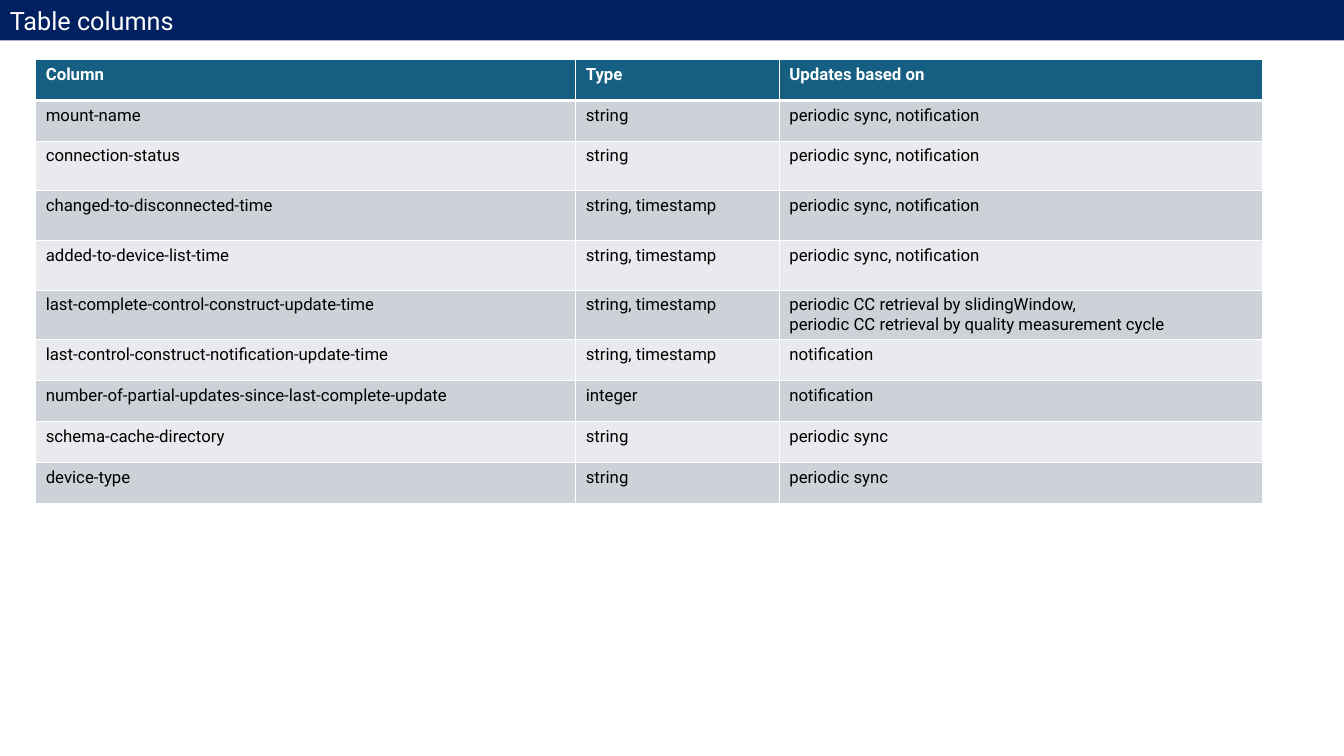
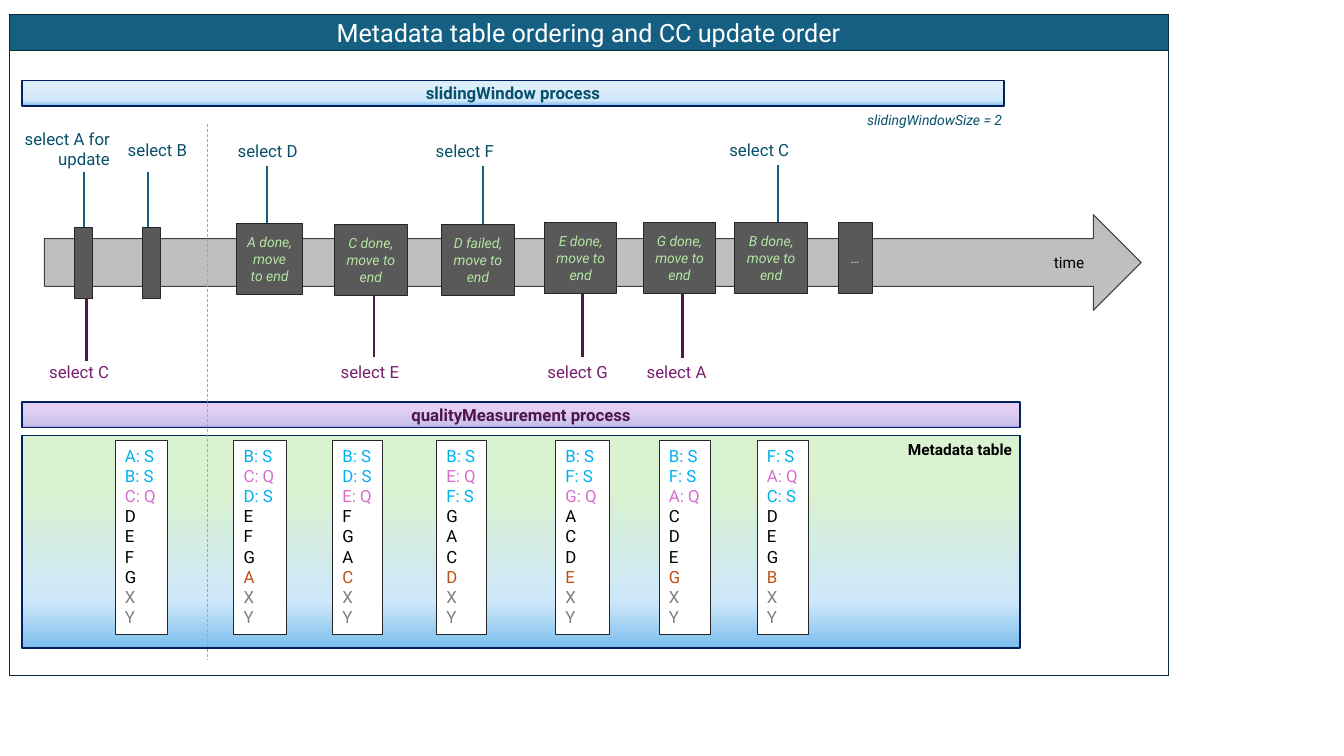
from copy import deepcopy
from dataclasses import dataclass

from lxml import etree
from pptx import Presentation
from pptx import util as u
from pptx.dml.color import RGBColor
from pptx.enum import dml, shapes, text
from pptx.oxml.ns import qn

FONT = "Roboto"
WHITE, BLACK, NAVY, TEAL = "FFFFFF", "000000", "002060", "156082"
FRAME_LINE, BOX_LINE = "092A39", "262626"
BLUE_TEXT, PURPLE_TEXT, PURPLE_LINE = "084F6A", "78206E", "501649"
SLIDING, QUALITY, MOVED, UNUSED = "00B0F0", "D86ECC", "C04F15", "808080"
LEFT, CENTER, RIGHT = text.PP_ALIGN.LEFT, text.PP_ALIGN.CENTER, text.PP_ALIGN.RIGHT
RECTANGLE = shapes.MSO_SHAPE.RECTANGLE
TOP, MIDDLE = text.MSO_ANCHOR.TOP, text.MSO_ANCHOR.MIDDLE


@dataclass
class Box:
    """Position and size in centimetres."""
    left: float
    top: float
    width: float
    height: float

    def lengths(self) -> tuple:
        return tuple(u.Cm(v) for v in (self.left, self.top, self.width, self.height))


@dataclass
class Style:
    size: float = 12
    color: str = BLACK
    bold: bool = False
    italic: bool = False
    align: text.PP_ALIGN = LEFT


@dataclass
class Selection:
    """A label with the line that ties it to the time arrow."""
    label: str
    box: Box
    align: text.PP_ALIGN
    line_x: float
    line_top: float
    above: bool = True


@dataclass
class Step:
    caption: str
    left: float
    top: float
    width: float = 1.83


@dataclass
class Snapshot:
    """The order of the metadata table at one moment."""
    left: float
    width: float
    selected: tuple
    waiting: str
    moved: str = ""

    def rows(self) -> list:
        colored = [(entry, SLIDING if entry.endswith("S") else QUALITY)
                   for entry in self.selected]
        groups = ((self.waiting, BLACK), (self.moved, MOVED), ("XY", UNUSED))
        return colored + [(letter, color) for letters, color in groups for letter in letters]


COLUMN_WIDTHS = (13.61, 5.13, 12.19)
ROW_HEIGHT, TALL_ROW_HEIGHT = 1.03, 1.25
TALL_ROWS = range(2, 6)
PERIODIC, NOTIFIED = "periodic sync", "notification"
BOTH = f"{PERIODIC}, {NOTIFIED}"
TIMESTAMP = "string, timestamp"
TABLE_ROWS = (
    ("Column", "Type", "Updates based on"),
    ("mount-name", "string", BOTH),
    ("connection-status", "string", BOTH),
    ("changed-to-disconnected-time", TIMESTAMP, BOTH),
    ("added-to-device-list-time", TIMESTAMP, BOTH),
    ("last-complete-control-construct-update-time", TIMESTAMP,
     "periodic CC retrieval by slidingWindow,\n"
     "periodic CC retrieval by quality measurement cycle"),
    ("last-control-construct-notification-update-time", TIMESTAMP, NOTIFIED),
    ("number-of-partial-updates-since-last-complete-update", "integer", NOTIFIED),
    ("schema-cache-directory", "string", PERIODIC),
    ("device-type", "string", PERIODIC),
)

SELECTIONS = (
    Selection("select A for update", Box(0.25, 3.12, 2.77, 1.27), RIGHT, 2.11, 4.34),
    Selection("select B", Box(2.97, 3.4, 2.29, 0.76), LEFT, 3.73, 4.34),
    Selection("select D", Box(5.74, 3.43, 2.03, 0.76), LEFT, 6.73, 4.19),
    Selection("select F", Box(9.93, 3.43, 2.77, 0.76), RIGHT, 12.17, 4.19),
    Selection("select C", Box(17.37, 3.4, 2.77, 0.76), RIGHT, 19.61, 4.17),
    Selection("select C", Box(0.23, 8.99, 2.77, 0.76), RIGHT, 2.18, 7.49, False),
    Selection("select E", Box(7.54, 8.99, 2.77, 0.76), RIGHT, 9.42, 7.39, False),
    Selection("select G", Box(12.8, 8.99, 2.77, 0.76), RIGHT, 14.68, 7.39, False),
    Selection("select A", Box(15.29, 8.99, 2.77, 0.76), RIGHT, 17.2, 7.42, False),
)
STEPS = (
    Step("", 1.88, 5.74, 0.46),
    Step("", 3.58, 5.74, 0.46),
    Step("A done, move to end", 5.97, 5.64, 1.65),
    Step("C done, move to end", 8.43, 5.66),
    Step("D failed, move to end", 11.13, 5.66),
    Step("E done, move to end", 13.72, 5.61),
    Step("G done, move to end", 16.21, 5.61),
    Step("B done, move to end", 18.52, 5.61),
    Step("…", 21.13, 5.61, 0.86),
)
SNAPSHOTS = (
    Snapshot(2.9, 1.32, ("A: S", "B: S", "C: Q"), "DEFG"),
    Snapshot(5.89, 1.32, ("B: S", "C: Q", "D: S"), "EFG", "A"),
    Snapshot(8.38, 1.27, ("B: S", "D: S", "E: Q"), "FGA", "C"),
    Snapshot(11, 1.27, ("B: S", "E: Q", "F: S"), "GAC", "D"),
    Snapshot(14, 1.35, ("B: S", "F: S", "G: Q"), "ACD", "E"),
    Snapshot(16.61, 1.3, ("B: S", "F: S", "A: Q"), "CDE", "G"),
    Snapshot(19.08, 1.3, ("F: S", "A: Q", "C: S"), "DEG", "B"),
)


def rgb(color: str) -> RGBColor:
    return RGBColor.from_string(color)


def write(frame, rows: list, style: Style) -> None:
    """Write (line, colour) rows as paragraphs."""
    for index, (line, color) in enumerate(rows):
        paragraph = frame.paragraphs[0] if index == 0 else frame.add_paragraph()
        paragraph.alignment = style.align
        run = paragraph.add_run()
        run.text = line
        run.font.name, run.font.size = FONT, u.Pt(style.size)
        run.font.bold, run.font.italic = style.bold, style.italic
        run.font.color.rgb = rgb(color)


def add_box(slide, box: Box, fill: str = "", line: str = "", line_width: float = 0.75,
            kind=RECTANGLE):
    shape = slide.shapes.add_shape(kind, *box.lengths())
    shape.shadow.inherit = False
    if fill:
        shape.fill.solid()
        shape.fill.fore_color.rgb = rgb(fill)
    else:
        shape.fill.background()
    if line:
        shape.line.color.rgb = rgb(line)
        shape.line.width = u.Pt(line_width)
    else:
        shape.line.fill.background()
    return shape


def add_gradient_box(slide, box: Box, stops: tuple):
    shape = add_box(slide, box, WHITE, NAVY, 1)
    shape.fill.gradient()
    shape.fill.gradient_angle = 270
    stop_list = shape.element.spPr.find(qn("a:gradFill")).find(qn("a:gsLst"))
    stop_list.append(deepcopy(stop_list[-1]))
    for stop, (position, color) in zip(shape.fill.gradient_stops, stops):
        stop.position = position / 100
        stop.color.rgb = rgb(color)
    return shape


def write_in_shape(shape, caption: str, style: Style) -> None:
    shape.text_frame.word_wrap = True
    shape.text_frame.vertical_anchor = MIDDLE
    write(shape.text_frame, [(caption, style.color)], style)


def add_label(slide, box: Box, caption: str, style: Style, wrap: bool = True) -> None:
    frame = slide.shapes.add_textbox(*box.lengths()).text_frame
    frame.word_wrap = wrap
    write(frame, [(caption, style.color)], style)


def add_vertical_line(slide, x: float, top: float, bottom: float, color: str,
                      width: float = 1.5, dashed: bool = False) -> None:
    line = slide.shapes.add_connector(shapes.MSO_CONNECTOR.STRAIGHT,
                                      u.Cm(x), u.Cm(top), u.Cm(x), u.Cm(bottom))
    line.line.color.rgb = rgb(color)
    line.line.width = u.Pt(width)
    if dashed:
        line.line.dash_style = dml.MSO_LINE.DASH
    etree.SubElement(line.element.spPr, qn("a:effectLst"))


def add_title_bar(slide, box: Box, caption: str, fill: str, line: str,
                  align: text.PP_ALIGN) -> None:
    shape = add_box(slide, box, fill, line)
    write_in_shape(shape, caption, Style(18, WHITE, align=align))


def add_cell_borders(cell, bottom_width: float) -> None:
    properties = cell._tc.get_or_add_tcPr()
    for side, width in (("L", 1), ("R", 1), ("T", 1), ("B", bottom_width)):
        border = etree.SubElement(properties, qn(f"a:ln{side}"), w=str(u.Pt(width)))
        fill = etree.SubElement(border, qn("a:solidFill"))
        etree.SubElement(fill, qn("a:srgbClr"), val=WHITE)


def add_columns_table(slide) -> None:
    heights = [TALL_ROW_HEIGHT if i in TALL_ROWS else ROW_HEIGHT
               for i in range(len(TABLE_ROWS))]
    box = Box(0.9, 1.5, sum(COLUMN_WIDTHS), sum(heights))
    table = slide.shapes.add_table(len(heights), len(COLUMN_WIDTHS), *box.lengths()).table
    for column, width in zip(table.columns, COLUMN_WIDTHS):
        column.width = u.Cm(width)
    for index, (row, height) in enumerate(zip(table.rows, heights)):
        row.height = u.Cm(height)
        header = index == 0
        fill = TEAL if header else ("E8EAED", "CCD2D8")[index % 2]
        style = Style(12, WHITE if header else BLACK, bold=header)
        for cell, content in zip(row.cells, TABLE_ROWS[index]):
            add_cell_borders(cell, 3 if header else 1)
            cell.fill.solid()
            cell.fill.fore_color.rgb = rgb(fill)
            write(cell.text_frame, [(line, style.color) for line in content.split("\n")], style)


def add_selection(slide, selection: Selection) -> None:
    if selection.above:
        text_color, line_color, length = BLUE_TEXT, TEAL, 1.52
    else:
        text_color, line_color, length = PURPLE_TEXT, PURPLE_LINE, 1.6
    add_vertical_line(slide, selection.line_x, selection.line_top,
                      selection.line_top + length, line_color)
    add_label(slide, selection.box, selection.label,
              Style(12, text_color, align=selection.align))


def add_step(slide, step: Step) -> None:
    shape = add_box(slide, Box(step.left, step.top, step.width, 1.78), "595959", BOX_LINE)
    if step.caption:
        write_in_shape(shape, step.caption, Style(10, "B4E5A2", italic=True, align=CENTER))


def add_snapshot(slide, snapshot: Snapshot) -> None:
    shape = add_box(slide, Box(snapshot.left, 11.1, snapshot.width, 4.88), WHITE, BOX_LINE)
    shape.text_frame.word_wrap = False
    shape.text_frame.vertical_anchor = TOP
    write(shape.text_frame, snapshot.rows(), Style())


def build_columns_slide(slide) -> None:
    add_columns_table(slide)
    add_title_bar(slide, Box(0, 0, 33.87, 1.02), "Table columns", NAVY, "", LEFT)


def build_ordering_slide(slide) -> None:
    add_box(slide, Box(0.23, 0.36, 29.21, 16.66), line=FRAME_LINE)
    add_box(slide, Box(1.12, 5.41, 27.64, 2.41), "BFBFBF", "404040",
            kind=shapes.MSO_SHAPE.RIGHT_ARROW)
    add_gradient_box(slide, Box(0.56, 10.97, 25.15, 5.36),
                     ((26, "D9F2D0"), (78, "CEE7FA"), (100, "7CBEED")))
    add_title_bar(slide, Box(0.23, 0.36, 29.21, 0.91),
                  "Metadata table ordering and CC update order", TEAL, FRAME_LINE, CENTER)
    sliding_bar = add_gradient_box(slide, Box(0.56, 2.03, 24.74, 0.64),
                                   ((26, "DDEEFB"), (79, "CEE7FA"), (100, "7CBEED")))
    write_in_shape(sliding_bar, "slidingWindow process",
                   Style(12, BLUE_TEXT, bold=True, align=CENTER))
    quality_bar = add_gradient_box(slide, Box(0.56, 10.13, 25.15, 0.64),
                                   ((26, "E4CFF3"), (89, "CAC2EC"), (100, "A99CE0")))
    write_in_shape(quality_bar, "qualityMeasurement process",
                   Style(12, PURPLE_LINE, bold=True, align=CENTER))
    for selection in SELECTIONS:
        add_selection(slide, selection)
    for step in STEPS:
        add_step(slide, step)
    for snapshot in SNAPSHOTS:
        add_snapshot(slide, snapshot)
    add_label(slide, Box(26.31, 6.25, 1.27, 0.74), "time", Style(11), wrap=False)
    add_label(slide, Box(22.63, 10.97, 3.4, 0.74), "Metadata table", Style(11, bold=True))
    add_label(slide, Box(21.41, 2.69, 4.09, 0.71), "slidingWindowSize = 2",
              Style(10, BLUE_TEXT, italic=True, align=RIGHT))
    add_vertical_line(slide, 5.23, 3.12, 16.61, "A6A6A6", 0.5, dashed=True)


def main() -> None:
    presentation = Presentation()
    presentation.slide_width, presentation.slide_height = u.Cm(33.87), u.Cm(19.05)
    blank = presentation.slide_layouts[6]
    for build in (build_columns_slide, build_ordering_slide):
        build(presentation.slides.add_slide(blank))
    presentation.save("out.pptx")


if __name__ == "__main__":
    main()
